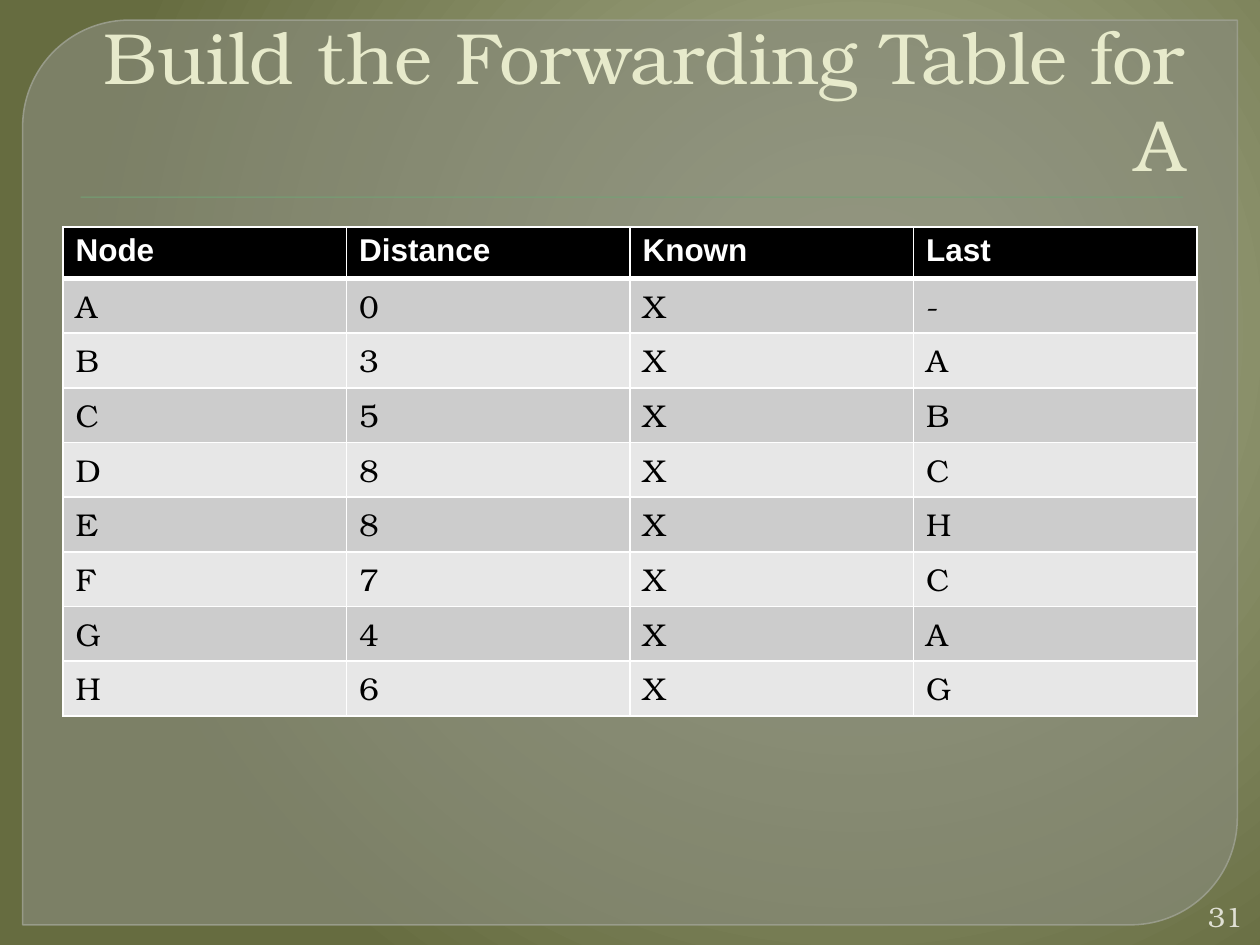
import lxml.etree
import pptx
import pptx.dml.color
import pptx.enum.shapes
import pptx.enum.text
import pptx.oxml
import pptx.oxml.ns
import pptx.util

Inches = pptx.util.Inches
Align = pptx.enum.text.PP_ALIGN
Anchor = pptx.enum.text.MSO_ANCHOR
Shape = pptx.enum.shapes.MSO_SHAPE
qn = pptx.oxml.ns.qn

# Content
TITLE = "Build the Forwarding Table for A"
PAGE_NUMBER = "31"
HEADER = ("Node", "Distance", "Known", "Last")
ROUTES = [
    ("A", "0", "X", "-"),
    ("B", "3", "X", "A"),
    ("C", "5", "X", "B"),
    ("D", "8", "X", "C"),
    ("E", "8", "X", "H"),
    ("F", "7", "X", "C"),
    ("G", "4", "X", "A"),
    ("H", "6", "X", "G"),
]


class Theme:
    serif, sans = "TeX Gyre Bonum", "Arial"
    title_size, table_size, number_size = 41.4, 18, 16
    title, number = "E7EACB", "E0E0D4"
    backdrop = ((0, "A9AE8D"), (20, "9FA583"), (100, "666C40"))
    panel, panel_line, rule = "888B7B", "9DA090", "72A376"
    header_fill, header_text = "000000", "FFFFFF"
    bands, cell_text, border = ("CCCCCC", "E7E7E7"), "000000", "FFFFFF"


def rgb(value):
    return pptx.dml.color.RGBColor.from_string(value)


def style(para, font, size, color, bold=False, align=Align.LEFT):
    para.alignment = align
    para.font.name = font
    para.font.size = pptx.util.Pt(size)
    para.font.bold = bold
    para.font.color.rgb = rgb(color)


def set_alpha(fill_parent, percent):
    color = fill_parent.find(qn("a:solidFill")).find(qn("a:srgbClr"))
    lxml.etree.SubElement(color, qn("a:alpha"), val=str(percent * 1000))


def add_plain_shape(kind, box, color):
    shape = page.shapes.add_shape(kind, *map(Inches, box))
    shape.shadow.inherit = False
    shape.fill.solid()
    shape.fill.fore_color.rgb = rgb(color)
    shape.line.fill.background()
    return shape


def set_borders(cell, top, bottom):
    properties = cell._tc.get_or_add_tcPr()
    for index, (side, width) in enumerate(
            (("L", 1), ("R", 1), ("T", top), ("B", bottom))):
        properties.insert(index, pptx.oxml.parse_xml(
            f'<a:ln{side} {pptx.oxml.ns.nsdecls("a")} w="{width * 12700}">'
            f'<a:solidFill><a:srgbClr val="{Theme.border}"/></a:solidFill>'
            f'</a:ln{side}>'))


deck = pptx.Presentation()
deck.slide_width, deck.slide_height = Inches(10), Inches(7.5)
page = deck.slides.add_slide(deck.slide_layouts[5])

# Radial background
page.background.fill.solid()
stops = "".join(
    f'<a:gs pos="{position * 1000}"><a:srgbClr val="{color}"/></a:gs>'
    for position, color in Theme.backdrop)
background = page._element.find(".//" + qn("p:bgPr"))
background.replace(background.find(qn("a:solidFill")), pptx.oxml.parse_xml(
    f'<a:gradFill {pptx.oxml.ns.nsdecls("a")} rotWithShape="1">'
    f'<a:gsLst>{stops}</a:gsLst><a:path path="circle">'
    '<a:fillToRect l="68000" t="35000" r="32000" b="65000"/>'
    '</a:path></a:gradFill>'))

# Panel and rule, behind the title
panel = add_plain_shape(Shape.ROUND_2_DIAG_RECTANGLE,
                        (0.18, 0.16, 9.64, 7.18), Theme.panel)
panel.adjustments[0], panel.adjustments[1] = 0.118, 0
panel.line.color.rgb = rgb(Theme.panel_line)
panel.line.width = pptx.util.Pt(0.87)
set_alpha(panel._element.spPr, 65)
set_alpha(panel.line._ln, 88)
rule = add_plain_shape(Shape.RECTANGLE, (0.64, 1.56, 8.75, 0.01), Theme.rule)

# Title
title = page.shapes.title
for shape in (panel, rule):
    title._element.addprevious(shape._element)
title.left, title.top, title.width, title.height = map(
    Inches, (0.5, 0.28, 9, 1.25))
title.text_frame.text = TITLE
title.text_frame.word_wrap = True
title.text_frame.auto_size = pptx.enum.text.MSO_AUTO_SIZE.NONE
title.text_frame.vertical_anchor = Anchor.BOTTOM
style(title.text_frame.paragraphs[0], Theme.serif, Theme.title_size,
      Theme.title, align=Align.RIGHT)

# Forwarding table
rows = [HEADER] + ROUTES
table = page.shapes.add_table(
    len(rows), len(HEADER), Inches(0.5), Inches(1.8),
    Inches(9), Inches(0.41 * len(rows))).table
table.horz_banding = False
table.first_row = True
for row_index, values in enumerate(rows):
    is_header = row_index == 0
    fill = Theme.header_fill if is_header else Theme.bands[(row_index - 1) % 2]
    for column_index, value in enumerate(values):
        cell = table.cell(row_index, column_index)
        cell.text = value
        cell.fill.solid()
        cell.fill.fore_color.rgb = rgb(fill)
        style(cell.text_frame.paragraphs[0],
              Theme.sans if is_header else Theme.serif, Theme.table_size,
              Theme.header_text if is_header else Theme.cell_text, is_header)
        set_borders(cell, top=3 if row_index == 1 else 1,
                    bottom=3 if is_header else 1)

# Page number
number = page.shapes.add_textbox(*map(Inches, (9.45, 7.12, 0.51, 0.3)))
number.text_frame.text = PAGE_NUMBER
number.text_frame.word_wrap = True
number.text_frame.vertical_anchor = Anchor.MIDDLE
style(number.text_frame.paragraphs[0], Theme.serif, Theme.number_size,
      Theme.number, align=Align.RIGHT)

deck.save("out.pptx")
